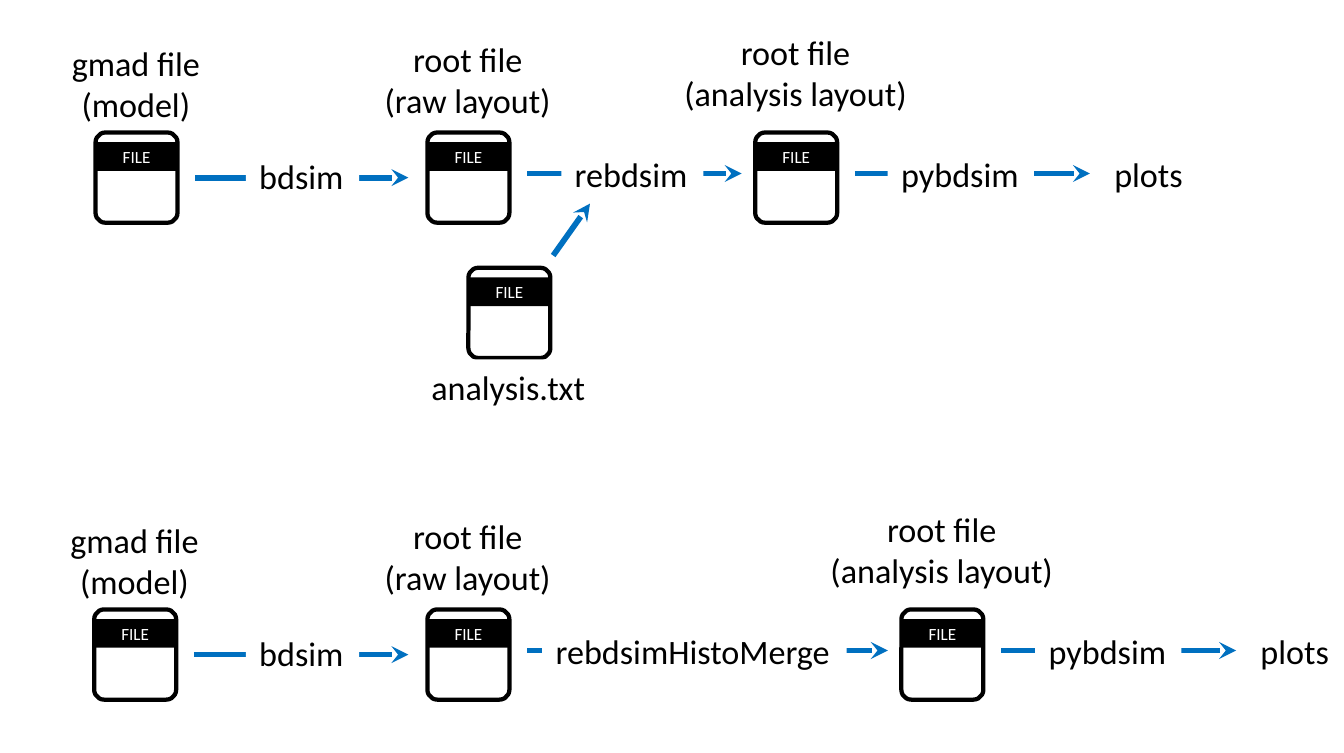
"""Build a slide showing two analysis chains from model file to plots."""
import pptx
import pptx.dml.color
import pptx.enum.shapes
import pptx.enum.text
import pptx.oxml
import pptx.oxml.ns
import pptx.util

PX = 9144
BLACK = pptx.dml.color.RGBColor(0x00, 0x00, 0x00)
WHITE = pptx.dml.color.RGBColor(0xFF, 0xFF, 0xFF)
BLUE = pptx.dml.color.RGBColor(0x00, 0x70, 0xC0)
LEFT = pptx.enum.text.PP_ALIGN.LEFT
CENTER = pptx.enum.text.PP_ALIGN.CENTER
TOP = pptx.enum.text.MSO_ANCHOR.TOP
MIDDLE = pptx.enum.text.MSO_ANCHOR.MIDDLE
FILE_WIDTH, FILE_HEIGHT = 60, 66
CHAIN_STEP = 349

deck = pptx.Presentation()
deck.slide_width = 984 * PX
deck.slide_height = 551 * PX
page = deck.slides.add_slide(deck.slide_layouts[6])


def add_text(text, left, top, width, height, size=18, color=BLACK, fill=None,
             align=LEFT, anchor=TOP, grow=True):
    box = page.shapes.add_textbox(left * PX, top * PX, width * PX, height * PX)
    if fill is not None:
        box.fill.solid()
        box.fill.fore_color.rgb = fill
    frame = box.text_frame
    frame.word_wrap = not grow
    if grow:
        frame.auto_size = pptx.enum.text.MSO_AUTO_SIZE.SHAPE_TO_FIT_TEXT
    frame.vertical_anchor = anchor
    frame.text = text
    for para in frame.paragraphs:
        para.alignment = align
        for span in para.runs:
            span.font.name = "Calibri"
            span.font.size = pptx.util.Pt(size)
            span.font.color.rgb = color


def add_arrow(start_x, start_y, end_x, end_y):
    arrow = page.shapes.add_connector(
        pptx.enum.shapes.MSO_CONNECTOR.STRAIGHT,
        start_x * PX, start_y * PX, end_x * PX, end_y * PX)
    arrow.line.color.rgb = BLUE
    arrow.line.width = pptx.util.Pt(3)
    tail = pptx.oxml.parse_xml(
        f'<a:tailEnd {pptx.oxml.ns.nsdecls("a")} type="stealth"/>')
    arrow.line._get_or_add_ln().append(tail)
    effects = pptx.oxml.parse_xml(f'<a:effectLst {pptx.oxml.ns.nsdecls("a")}/>')
    arrow._element.spPr.append(effects)


captions = [
    ("gmad file\n(model)", 26, 115),
    ("root file\n(raw layout)", 23, 143),
    ("root file\n(analysis layout)", 18, 185),
]
arrow_levels = [130, 127, 127]
chains = [
    dict(files=[70, 313, 553], arrow_ends=[299, 543, 798], labels=[
        ("bdsim", 180, 109, 83), ("rebdsim", 411, 107, 104),
        ("pybdsim", 650, 107, 107), ("plots", 806, 107, 71)]),
    dict(files=[69, 313, 660], arrow_ends=[299, 650, 905], labels=[
        ("bdsim", 180, 109, 83), ("rebdsimHistoMerge", 397, 107, 223),
        ("pybdsim", 758, 107, 107), ("plots", 913, 107, 71)]),
]

file_places = [(343, 196)]
for index, chain in enumerate(chains):
    file_places += [(left, 97 + index * CHAIN_STEP) for left in chain["files"]]

for left, top in file_places:
    icon = page.shapes.add_shape(
        pptx.enum.shapes.MSO_SHAPE.ROUNDED_RECTANGLE,
        left * PX, top * PX, FILE_WIDTH * PX, FILE_HEIGHT * PX)
    icon.adjustments[0] = 0.12
    icon.shadow.inherit = False
    icon.fill.solid()
    icon.fill.fore_color.rgb = WHITE
    icon.line.color.rgb = BLACK
    icon.line.width = pptx.util.Pt(2.25)
    add_text("FILE", left, top + 7, FILE_WIDTH, 21, size=9, color=WHITE,
             fill=BLACK, align=CENTER, anchor=MIDDLE, grow=False)

for index, chain in enumerate(chains):
    shift = index * CHAIN_STEP
    for left, (text, top, width) in zip(chain["files"], captions):
        add_text(text, left + (FILE_WIDTH - width) // 2, top + shift, width, 71,
                 align=CENTER)
    for left, end, level in zip(chain["files"], chain["arrow_ends"], arrow_levels):
        add_arrow(left + 73, level + shift, end, level + shift)
    for text, left, top, width in chain["labels"]:
        add_text(text, left, top + shift, width, 40, fill=WHITE)

add_text("analysis.txt", 306, 263, 134, 40, fill=WHITE)
add_arrow(405, 187, 432, 149)

deck.save("out.pptx")
